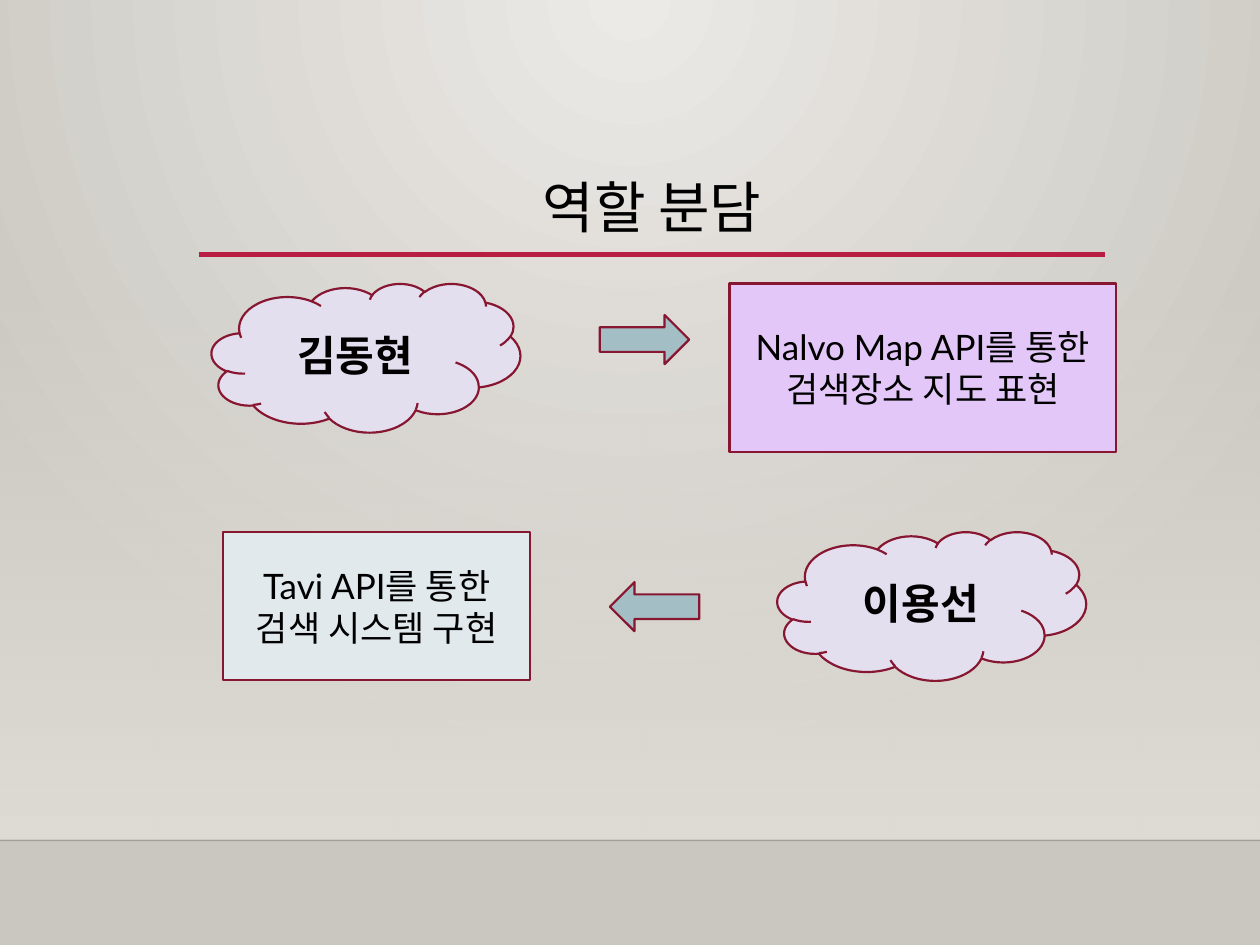
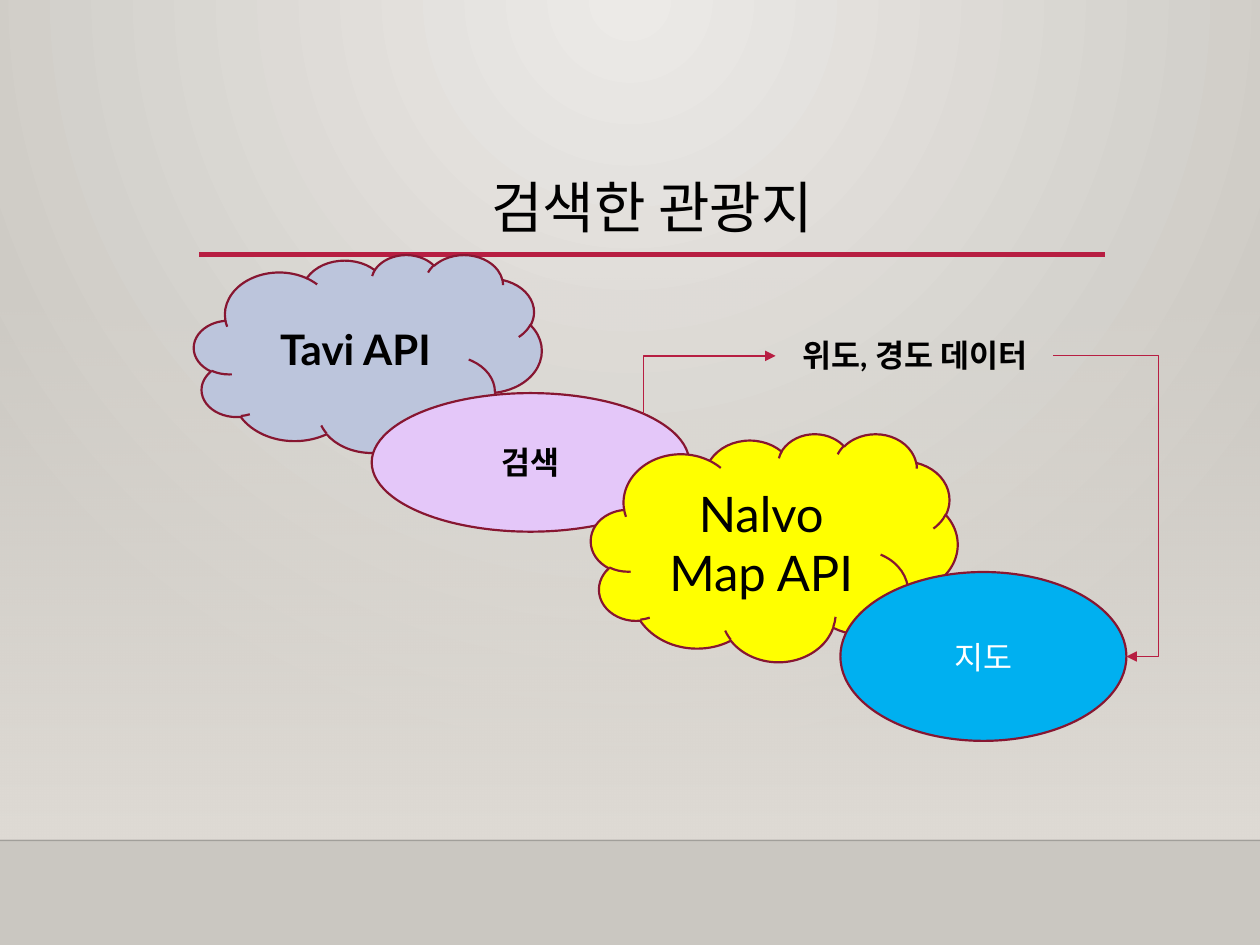
"""Build two slides on role split and search flow of a tourist map project."""
from dataclasses import dataclass
from typing import Any

import pptx
import pptx.dml.color
import pptx.enum.dml
import pptx.enum.shapes
import pptx.enum.text
import pptx.oxml
import pptx.oxml.ns
import pptx.util
from lxml import etree

Inches = pptx.util.Inches
Pt = pptx.util.Pt
qn = pptx.oxml.ns.qn
SHAPE = pptx.enum.shapes.MSO_SHAPE
CONNECTOR = pptx.enum.shapes.MSO_CONNECTOR
ANCHOR = pptx.enum.text.MSO_ANCHOR

FONT = "Lato"
BLACK, WHITE = "000000", "FFFFFF"
RED, DARK_RED = "B71E42", "871631"
GLOW, EDGE, HAZE = "ECEAE7", "CAC7C1", "DFDBD5"
LILAC, LAVENDER, TEAL, PALE = "E4C7F9", "E4DFEF", "A4BEC6", "E1E9EC"
STEEL, YELLOW, BLUE = "BCC5DC", "FFFF00", "00B0F0"
RULE_LEFT, RULE_RIGHT, RULE_Y = 1.58, 8.77, 2.02
FLOOR_Y = 6.67

Point = tuple[float, float]


@dataclass
class Node:
    """A filled, outlined shape with optional centred text."""

    kind: Any
    left: float
    top: float
    width: float
    height: float
    fill: str
    text: str = ""
    size: int = 20
    bold: bool = False
    color: str = BLACK
    rotation: float = 0


@dataclass
class Elbow:
    """A bent arrow given by its unrotated ends."""

    preset: str
    begin: Point
    end: Point
    rotation: int = 0
    adjust: int | None = None


def rgb(value: str) -> pptx.dml.color.RGBColor:
    """Turn a hex string into a colour."""
    return pptx.dml.color.RGBColor.from_string(value)


def write(tf, text: str, *, size: int, bold: bool = False, color: str = BLACK,
          spacing: float | None = None, wrap: bool = True) -> None:
    """Fill a text frame with centred paragraphs, one per line of text."""
    tf.word_wrap = wrap
    tf.vertical_anchor = ANCHOR.MIDDLE
    for i, line in enumerate(text.split("\n")):
        p = tf.paragraphs[0] if i == 0 else tf.add_paragraph()
        p.alignment = pptx.enum.text.PP_ALIGN.CENTER
        if spacing:
            p.line_spacing = spacing
        r = p.add_run()
        r.text = line
        r.font.name = FONT
        r.font.size = Pt(size)
        r.font.bold = bold
        r.font.color.rgb = rgb(color)


def add_label(s, left: float, top: float, width: float, height: float,
              text: str, **style) -> None:
    """Add a plain text box."""
    box = s.shapes.add_textbox(Inches(left), Inches(top), Inches(width), Inches(height))
    write(box.text_frame, text, **style)


def set_gradient(props, first: str, last: str, direction: str, alpha: int = 100) -> None:
    """Replace a solid fill by a gradient whose first stop may be transparent."""
    xml = (f'<a:gradFill {pptx.oxml.ns.nsdecls("a")} rotWithShape="1"><a:gsLst>'
           f'<a:gs pos="0"><a:srgbClr val="{first}"><a:alpha val="{alpha * 1000}"/>'
           f'</a:srgbClr></a:gs><a:gs pos="100000"><a:srgbClr val="{last}"/></a:gs>'
           f'</a:gsLst>{direction}</a:gradFill>')
    props.replace(props.find(qn("a:solidFill")), pptx.oxml.parse_xml(xml))


def add_line(s, begin: Point, end: Point, color: str, width: float,
             kind=CONNECTOR.STRAIGHT):
    """Add a connector without a shadow."""
    sp = s.shapes.add_connector(kind, *map(Inches, begin + end))
    sp.line.color.rgb = rgb(color)
    sp.line.width = Pt(width)
    etree.SubElement(sp._element.spPr, qn("a:effectLst"))
    return sp


def add_elbow(s, elbow: Elbow) -> None:
    """Add a bent connector with an arrowhead at its end."""
    sp = add_line(s, elbow.begin, elbow.end, RED, 0.75, CONNECTOR.ELBOW)
    props = sp._element.spPr
    if elbow.rotation:
        props.find(qn("a:xfrm")).set("rot", str(elbow.rotation * 60000))
    geometry = props.find(qn("a:prstGeom"))
    geometry.set("prst", elbow.preset)
    if elbow.adjust is not None:
        guides = geometry.find(qn("a:avLst"))
        etree.SubElement(guides, qn("a:gd"), name="adj1", fmla=f"val {elbow.adjust}")
    etree.SubElement(props.find(qn("a:ln")), qn("a:tailEnd"), type="triangle")


def add_node(s, node: Node) -> None:
    """Draw one node."""
    box = map(Inches, (node.left, node.top, node.width, node.height))
    sp = s.shapes.add_shape(node.kind, *box)
    sp.shadow.inherit = False
    sp.rotation = node.rotation
    sp.fill.solid()
    sp.fill.fore_color.rgb = rgb(node.fill)
    sp.line.color.rgb = rgb(DARK_RED)
    sp.line.width = Pt(1.25)
    if node.text:
        write(sp.text_frame, node.text, size=node.size, bold=node.bold, color=node.color)


def add_slide(prs, title: str, nodes: list[Node]):
    """Add a slide with the shared backdrop, rules and title, then its nodes."""
    s = prs.slides.add_slide(prs.slide_layouts[6])
    s.background.fill.solid()
    set_gradient(s._element.find(".//" + qn("p:bgPr")), GLOW, EDGE,
                 '<a:path path="circle"><a:fillToRect l="43000" r="43000" b="100000"/></a:path>')
    haze = s.shapes.add_shape(SHAPE.RECTANGLE, 0, Inches(2.2), Inches(10), Inches(4.46))
    haze.shadow.inherit = False
    haze.line.fill.background()
    haze.fill.solid()
    set_gradient(haze._element.spPr, HAZE, HAZE, '<a:lin ang="5400000" scaled="0"/>', alpha=0)
    floor = add_line(s, (0, FLOOR_Y), (10, FLOOR_Y), "000001", 1)
    tint = floor._element.spPr.find(".//" + qn("a:srgbClr"))
    etree.SubElement(tint, qn("a:alpha"), val="20000")
    add_line(s, (RULE_LEFT, RULE_Y), (RULE_RIGHT, RULE_Y), RED, 2.5)
    add_label(s, RULE_LEFT, 1.31, RULE_RIGHT - RULE_LEFT, 0.72, title, size=32, spacing=0.9)
    for node in nodes:
        add_node(s, node)
    return s


def main() -> None:
    """Build and save the presentation."""
    prs = pptx.Presentation()
    prs.slide_width, prs.slide_height = Inches(10), Inches(7.5)

    upper, lower = 2.25, 4.22
    add_slide(prs, "역할 분담", [
        Node(SHAPE.CLOUD, 1.68, upper, 2.45, 1.18, LAVENDER, "김동현", 24, True),
        Node(SHAPE.CLOUD, 6.17, lower, 2.45, 1.18, LAVENDER, "이용선", 24, True),
        Node(SHAPE.RIGHT_ARROW, 4.76, 2.5, 0.71, 0.39, TEAL),
        Node(SHAPE.RIGHT_ARROW, 4.84, 4.62, 0.71, 0.39, TEAL, rotation=180),
        Node(SHAPE.RECTANGLE, 5.79, upper, 3.07, 1.34, LILAC,
             "Nalvo Map API를 통한\n검색장소 지도 표현"),
        Node(SHAPE.RECTANGLE, 1.77, lower, 2.44, 1.18, PALE,
             "Tavi API를 통한\n검색 시스템 구현"),
    ])

    s = add_slide(prs, "검색한 관광지", [
        Node(SHAPE.CLOUD, 1.54, 2.02, 2.76, 1.57, STEEL, "Tavi API", 24, True),
        Node(SHAPE.OVAL, 2.95, 3.12, 2.52, 1.1, LILAC, "검색", 18, True),
        Node(SHAPE.CLOUD, 4.69, 3.44, 2.91, 1.81, YELLOW, "Nalvo Map API", 28),
        Node(SHAPE.OVAL, 6.67, 4.54, 2.27, 1.34, BLUE, "지도", 18, color=WHITE),
    ])
    add_elbow(s, Elbow("bentConnector2", (5.86, 3.58), (5.4, 2.53), rotation=90))
    add_label(s, 6.16, 2.62, 2.2, 0.4, "위도, 경도 데이터", size=18, bold=True, wrap=False)
    add_elbow(s, Elbow("bentConnector3", (8.36, 2.82), (8.94, 5.21), adjust=143500))

    prs.save("out.pptx")


main()
